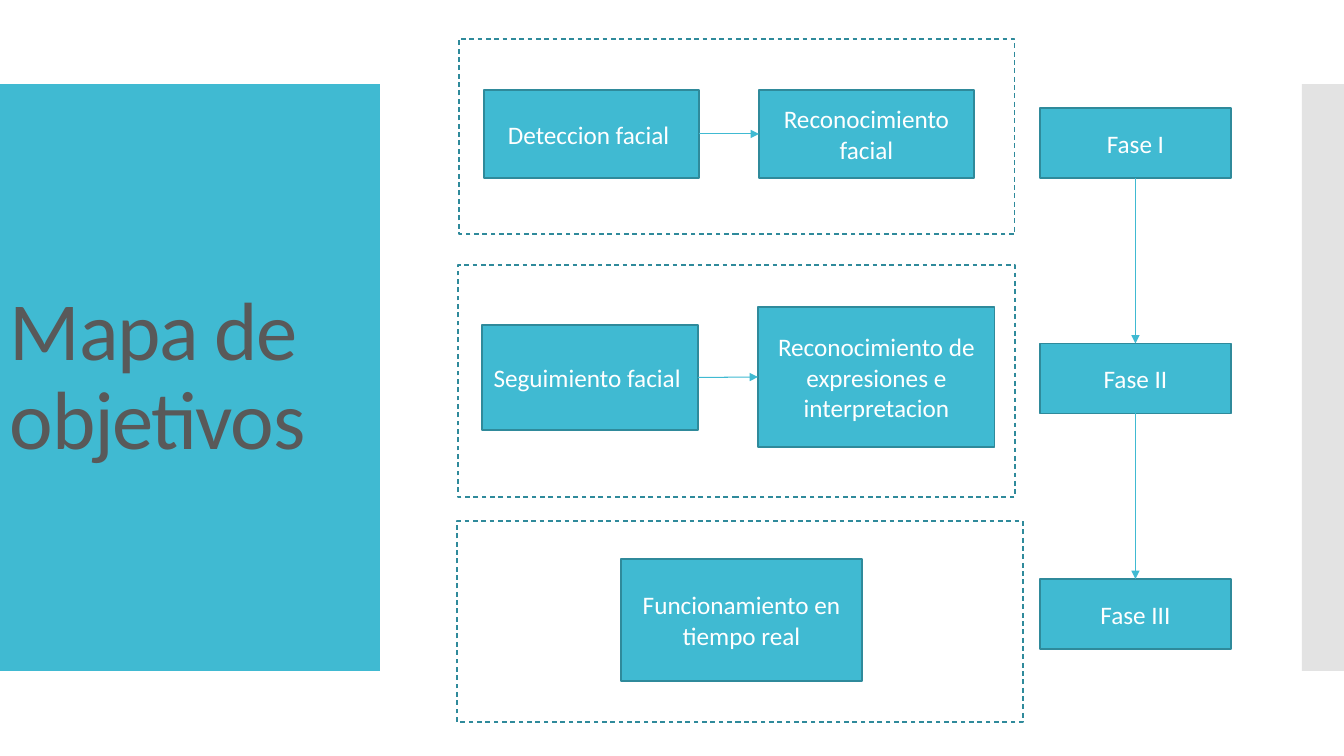
from pptx import Presentation
from pptx.dml.color import RGBColor
from pptx.enum.dml import MSO_LINE
from pptx.enum.shapes import MSO_CONNECTOR, MSO_SHAPE
from pptx.enum.text import MSO_ANCHOR, PP_ALIGN
from pptx.oxml.ns import qn
from pptx.util import Pt
from lxml import etree

PX = 914400 / 100.8
SLIDE_WIDTH, SLIDE_HEIGHT = 1344, 756
RECTANGLE, STRAIGHT = MSO_SHAPE.RECTANGLE, MSO_CONNECTOR.STRAIGHT
DASH, MIDDLE, BOTTOM = MSO_LINE.DASH, MSO_ANCHOR.MIDDLE, MSO_ANCHOR.BOTTOM
CENTER, LEFT = PP_ALIGN.CENTER, PP_ALIGN.LEFT
TOP_SITE, LEFT_SITE, BOTTOM_SITE, RIGHT_SITE = range(4)

COLORS = {
    "teal": "40BAD2",
    "outline": "2F8A9B",
    "gray": "C8C8C8",
    "title": "595959",
    "white": "FFFFFF",
}
BOX_TEXT = {"size": Pt(18), "name": "Calibri"}
TITLE_TEXT = {"size": Pt(59), "name": "Calibri"}

# Each frame box, then the steps inside it, relative to the frame.
STAGES = [
    ((459, 39, 556, 195), [
        ("Deteccion facial ", (25, 51, 215, 88)),
        ("Reconocimiento facial", (300, 51, 215, 88)),
    ]),
    ((458, 265, 557, 232), [
        ("Seguimiento facial ", (24, 60, 216, 105)),
        ("Reconocimiento de expresiones e interpretacion", (300, 42, 237, 140)),
    ]),
    ((457, 521, 566, 201), [
        ("Funcionamiento en tiempo real", (164, 38, 241, 122)),
    ]),
]
PHASES = ["Fase I", "Fase II", "Fase III"]


def px(value):
    return round(value * PX)


def color(name):
    return RGBColor.from_string(COLORS[name])


def add_rectangle(slide, box, fill=None, outline=None, dash=None):
    shape = slide.shapes.add_shape(RECTANGLE, *map(px, box))
    shape.shadow.inherit = False
    if fill:
        shape.fill.solid()
        shape.fill.fore_color.rgb = color(fill)
    else:
        shape.fill.background()
    if outline:
        shape.line.color.rgb = color(outline)
        shape.line.width = Pt(0.85)
        shape.line.dash_style = dash
    else:
        shape.line.fill.background()
    return shape


def write_text(shape, text, font_values, font_color, alignment, anchor):
    frame = shape.text_frame
    frame.word_wrap = True
    frame.vertical_anchor = anchor
    paragraph = frame.paragraphs[0]
    paragraph.alignment = alignment
    run = paragraph.add_run()
    run.text = text
    for attribute, value in font_values.items():
        setattr(run.font, attribute, value)
    run.font.color.rgb = color(font_color)
    return paragraph


def add_step(slide, text, box):
    shape = add_rectangle(slide, box, "teal", "outline")
    write_text(shape, text, BOX_TEXT, "white", CENTER, MIDDLE)
    return shape


def add_arrow(slide, start, start_site, end, end_site):
    connector = slide.shapes.add_connector(STRAIGHT, 0, 0, 0, 0)
    connector.begin_connect(start, start_site)
    connector.end_connect(end, end_site)
    connector.line.color.rgb = color("teal")
    connector.line.width = Pt(0.75)
    line = connector.line._get_or_add_ln()
    etree.SubElement(line, qn("a:tailEnd"), type="triangle")
    etree.SubElement(connector._element.spPr, qn("a:effectLst"))


def add_side_bands(slide, top, height):
    add_rectangle(slide, (0, top, 380, height), "teal")
    band = add_rectangle(slide, (1302, top, 42, height), "gray")
    fill_color = band._element.spPr.find(qn("a:solidFill"))[0]
    etree.SubElement(fill_color, qn("a:alpha"), val="50000")


def add_title(slide, box):
    title = slide.shapes.add_textbox(*map(px, box))
    paragraph = write_text(title, "Mapa de objetivos", TITLE_TEXT, "title", LEFT, BOTTOM)
    paragraph.line_spacing = 0.9
    paragraph.runs[0].font._element.set("spc", "-100")


def add_stage(slide, box, steps):
    """Draw a dashed frame whose steps are linked from left to right."""
    left, top = box[:2]
    shapes = [add_step(slide, text, (left + x, top + y, width, height))
              for text, (x, y, width, height) in steps]
    for start, end in zip(shapes, shapes[1:]):
        add_arrow(slide, start, RIGHT_SITE, end, LEFT_SITE)
    add_rectangle(slide, box, outline="outline", dash=DASH)


def add_phases(slide, box):
    """Stack the phases evenly over the full height of the box."""
    left, top, width, height = box
    phase_height = 70
    pitch = (height - phase_height) / (len(PHASES) - 1)
    shapes = [add_step(slide, text, (left, top + index * pitch, width, phase_height))
              for index, text in enumerate(PHASES)]
    for start, end in zip(shapes, shapes[1:]):
        add_arrow(slide, start, BOTTOM_SITE, end, TOP_SITE)


def main():
    presentation = Presentation()
    presentation.slide_width = px(SLIDE_WIDTH)
    presentation.slide_height = px(SLIDE_HEIGHT)
    slide = presentation.slides.add_slide(presentation.slide_layouts[6])
    add_side_bands(slide, 84, 587)
    add_title(slide, (0, 80, 380, 392))
    for box, steps in STAGES:
        add_stage(slide, box, steps)
    add_phases(slide, (1040, 108, 191, 541))
    presentation.save("out.pptx")


if __name__ == "__main__":
    main()
